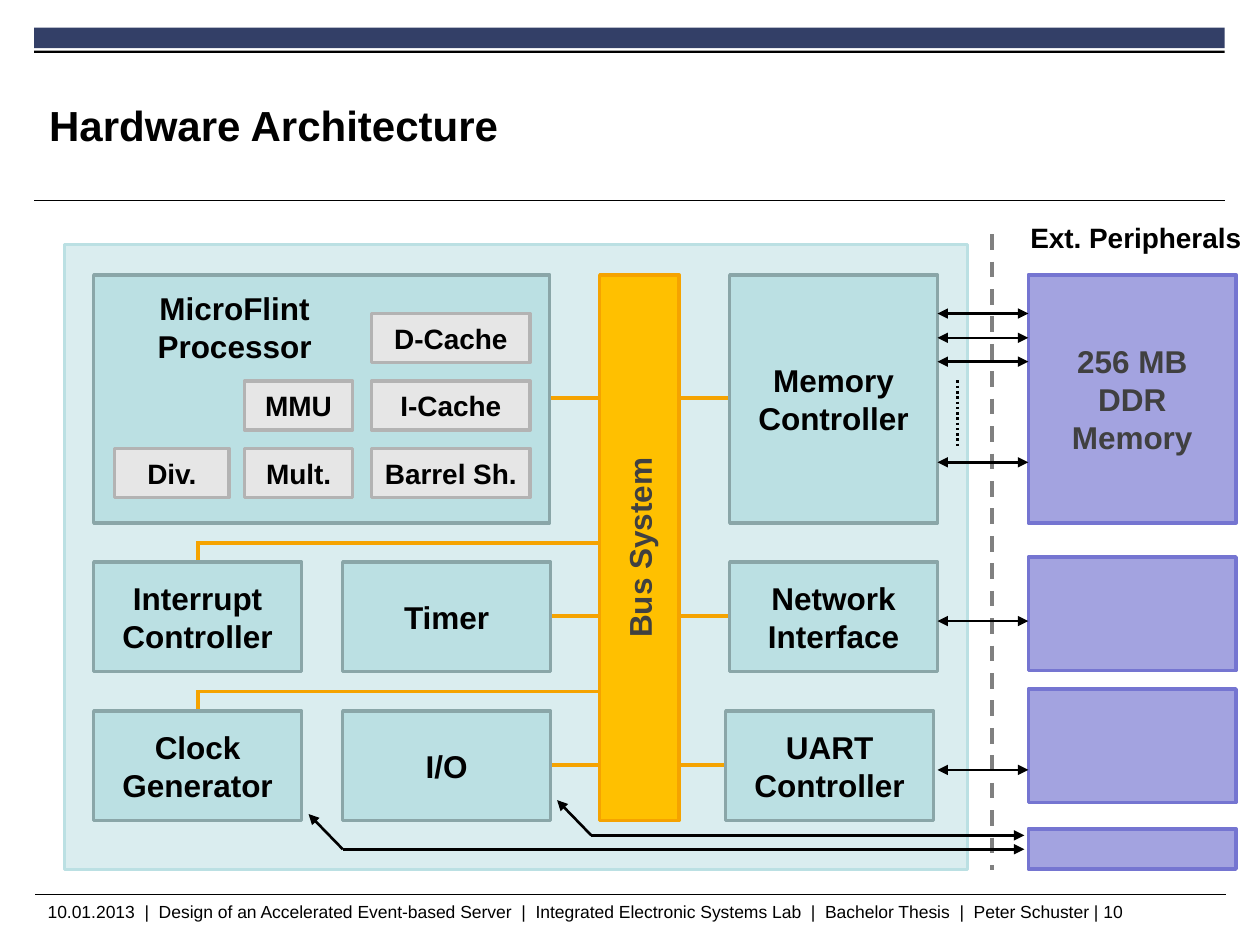
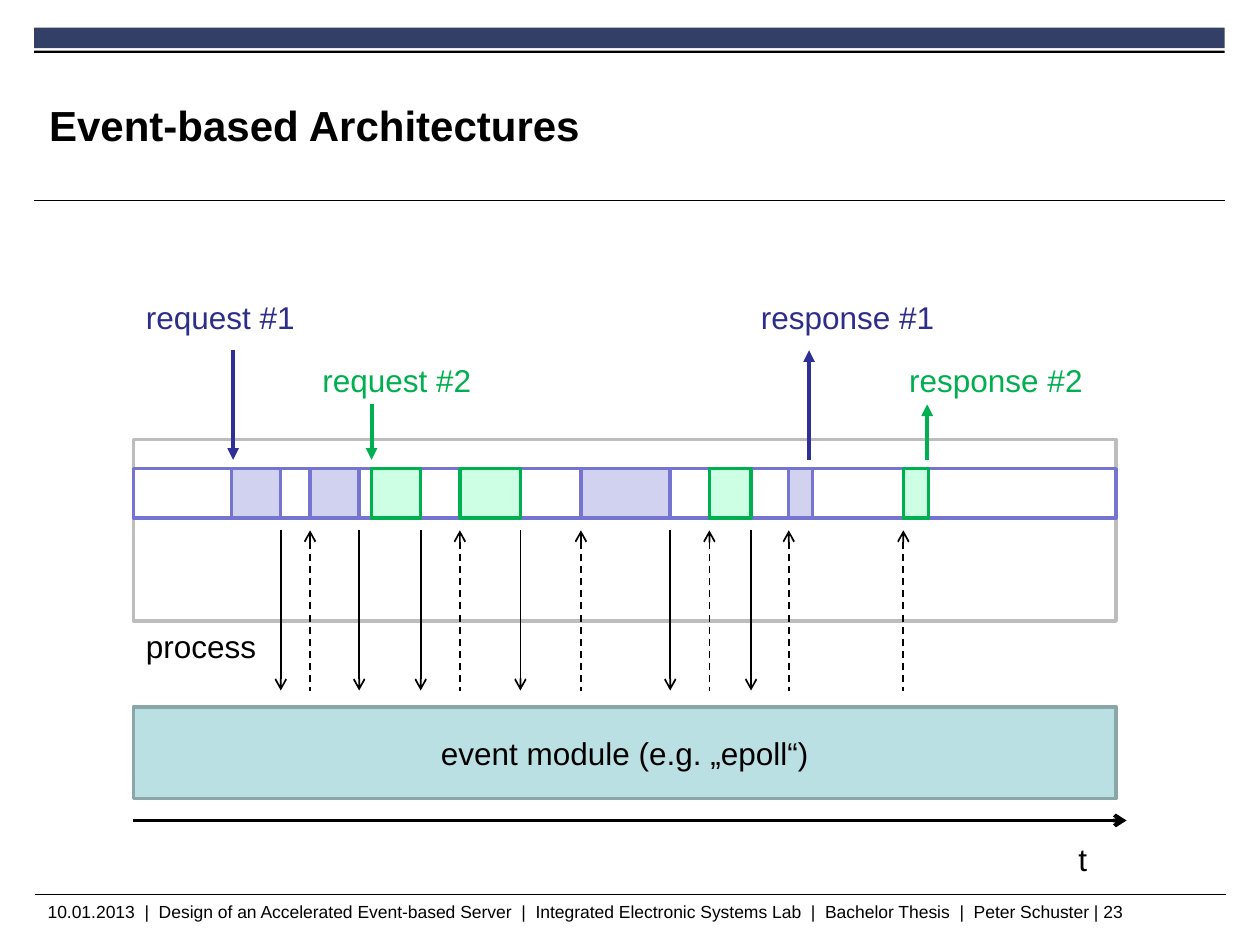
import lxml.etree
import pptx
import pptx.dml.color
import pptx.enum.dml
import pptx.enum.shapes
import pptx.enum.text
import pptx.oxml.ns
import pptx.util

Cm = pptx.util.Cm
RGBColor = pptx.dml.color.RGBColor
ALIGN = pptx.enum.text.PP_ALIGN
ANCHOR = pptx.enum.text.MSO_ANCHOR
DASH = pptx.enum.dml.MSO_LINE

FONT = "Arial"
FOOTER = ("10.01.2013  |  Design of an Accelerated Event-based Server  |  "
          "Integrated Electronic Systems Lab  |  Bachelor Thesis  |  Peter Schuster | {}")

BLACK = RGBColor(0x00, 0x00, 0x00)
WHITE = RGBColor(0xFF, 0xFF, 0xFF)
DARK_GREY = RGBColor(0x40, 0x40, 0x40)
GREY = RGBColor(0x80, 0x80, 0x80)
NAVY = RGBColor(0x33, 0x3F, 0x67)
PALE_TEAL = RGBColor(0xDA, 0xED, 0xEF)
TEAL = RGBColor(0xBB, 0xE0, 0xE3)
TEAL_EDGE = RGBColor(0x8A, 0xA6, 0xA8)
AMBER = RGBColor(0xFF, 0xC0, 0x00)
ORANGE = RGBColor(0xF5, 0xA3, 0x00)
VIOLET = RGBColor(0xA3, 0xA3, 0xE0)
VIOLET_EDGE = RGBColor(0x75, 0x75, 0xD1)
PALE_VIOLET = RGBColor(0xD1, 0xD1, 0xF0)
LIGHT_GREY = RGBColor(0xE6, 0xE6, 0xE6)
UNIT_EDGE = RGBColor(0xB3, 0xB3, 0xB3)
PROCESS_EDGE = RGBColor(0xBD, 0xBD, 0xBD)
INDIGO = RGBColor(0x2F, 0x2F, 0x98)
INDIGO_TEXT = RGBColor(0x2D, 0x2D, 0x8A)
GREEN = RGBColor(0x00, 0xB0, 0x50)
PALE_GREEN = RGBColor(0xCD, 0xFF, 0xE4)


def write_text(frame, text, size=18, color=BLACK, bold=False, align=ALIGN.CENTER,
               anchor=ANCHOR.MIDDLE, margins=(0.25, 0.13, 0.25, 0.13), wrap=True):
    frame.word_wrap = wrap
    frame.auto_size = pptx.enum.text.MSO_AUTO_SIZE.NONE
    frame.vertical_anchor = anchor
    (frame.margin_left, frame.margin_top,
     frame.margin_right, frame.margin_bottom) = map(Cm, margins)
    frame.text = text
    for paragraph in frame.paragraphs:
        paragraph.alignment = align
        for run in paragraph.runs:
            run.font.name = FONT
            run.font.size = pptx.util.Pt(size)
            run.font.bold = bold
            run.font.color.rgb = color


class Deck:
    def __init__(self):
        self.presentation = pptx.Presentation()
        self.presentation.slide_width = Cm(25.4)
        self.presentation.slide_height = Cm(19.05)
        self.slide = None

    def add_slide(self, title, number):
        layout = self.presentation.slide_layouts[5]
        self.slide = self.presentation.slides.add_slide(layout)
        self.box(0.69, 0.56, 24, 0.41, NAVY)
        self.box(0.69, 1.02, 24, 0.05, BLACK)
        self.line(0.69, 4.04, 24.69, 4.04, width=0.6)
        self.line(0.71, 18.03, 24.71, 18.03, width=0.6)
        self.label(0.71, 18.03, 24, 0.64, FOOTER.format(number), size=10)
        shape = self.slide.shapes.title
        shape.left, shape.top, shape.width, shape.height = map(Cm, (0.99, 1.35, 19.1, 2.34))
        write_text(shape.text_frame, title, size=24, bold=True,
                   align=ALIGN.LEFT, margins=(0, 0, 0, 0))

    def box(self, left, top, width, height, fill=None, edge=None, text=None, **text_format):
        shape = self.slide.shapes.add_shape(
            pptx.enum.shapes.MSO_SHAPE.RECTANGLE, Cm(left), Cm(top), Cm(width), Cm(height))
        shape.shadow.inherit = False
        if fill is None:
            shape.fill.background()
        else:
            shape.fill.solid()
            shape.fill.fore_color.rgb = fill
        if edge is None:
            shape.line.fill.background()
        else:
            shape.line.color.rgb = edge
            shape.line.width = pptx.util.Pt(2)
        if text:
            write_text(shape.text_frame, text, **text_format)
        return shape

    def label(self, left, top, width, height, text, **text_format):
        shape = self.slide.shapes.add_textbox(Cm(left), Cm(top), Cm(width), Cm(height))
        write_text(shape.text_frame, text, align=ALIGN.LEFT, anchor=ANCHOR.TOP, **text_format)

    def line(self, x1, y1, x2, y2, color=BLACK, width=1.5, dash=None, head=None, tail=None):
        connector = self.slide.shapes.add_connector(
            pptx.enum.shapes.MSO_CONNECTOR.STRAIGHT, Cm(x1), Cm(y1), Cm(x2), Cm(y2))
        connector.line.color.rgb = color
        connector.line.width = pptx.util.Pt(width)
        if dash is not None:
            connector.line.dash_style = dash
        qn = pptx.oxml.ns.qn
        properties = connector._element.spPr
        outline = properties.find(qn("a:ln"))
        for tag, kind in (("a:headEnd", head), ("a:tailEnd", tail)):
            if kind:
                lxml.etree.SubElement(outline, qn(tag)).set("type", kind)
        lxml.etree.SubElement(properties, qn("a:effectLst"))


def add_hardware_slide(deck):
    deck.add_slide("Hardware Architecture", 10)
    left, middle, right, peripheral = 1.89, 6.91, 14.71, 20.73
    top, tall = 5.54, 5
    rows = (11.33, 14.33)
    block_width, block_height = 4.19, 2.21
    bus_left, bus_width = 12.09, 1.6

    deck.box(1.3, 4.93, 18.21, 12.6, PALE_TEAL, TEAL)
    for row in rows:
        branch = row - 0.39
        deck.line(3.99, branch - 0.03, 3.99, row, ORANGE, 2.25)
        deck.line(3.99, branch, bus_left + bus_width, branch, ORANGE, 2.25)
    for y in (8.03, *(row + 1.09 for row in rows)):
        deck.line(11.1, y, right, y, ORANGE, 2.25)

    blocks = (
        (right, top, tall, "Memory Controller"),
        (right, rows[0], block_height, "Network Interface"),
        (14.63, rows[1], block_height, "UART Controller"),
        (left, rows[0], block_height, "Interrupt\nController"),
        (left, rows[1], block_height, "Clock\nGenerator"),
        (middle, rows[0], block_height, "Timer"),
        (middle, rows[1], block_height, "I/O"),
    )
    for x, y, height, text in blocks:
        deck.box(x, y, block_width, height, TEAL, TEAL_EDGE, text, bold=True)

    deck.line(19.99, 4.72, 19.99, 17.53, GREY, 2.25, DASH.DASH)
    peripherals = ((top, tall, "256 MB DDR Memory"), (11.23, 2.29, None),
                   (13.89, 2.29, None), (16.71, 0.81, None))
    for y, height, text in peripherals:
        deck.box(peripheral, y, block_width, height, VIOLET, VIOLET_EDGE, text,
                 color=DARK_GREY, bold=True)
    bus = deck.box(bus_left, top, bus_width, 11, AMBER, ORANGE, "Bus System",
                   color=DARK_GREY, bold=True)
    bus.text_frame._txBody.bodyPr.set("vert", "vert270")

    for y in (6.32, 6.81, 7.29, 9.32, 12.52, 15.52):
        deck.line(18.9, y, peripheral, y, head="triangle", tail="triangle")
    for x, y in ((6.22, 16.41), (11.23, 16.13)):
        corner_x, corner_y = x + 0.69, y + 0.71
        deck.line(x, y, corner_x, corner_y, head="triangle")
        deck.line(corner_x, corner_y, 20.65, corner_y, tail="triangle")
    deck.line(19.3, 7.67, 19.3, 9.02, dash=DASH.ROUND_DOT)
    deck.label(20.52, 4.32, 4.87, 0.94, "Ext. Peripherals", size=16, bold=True, wrap=False)

    deck.box(left, top, 9.19, tall, TEAL, TEAL_EDGE, "MicroFlint\nProcessor", bold=True,
             anchor=ANCHOR.TOP, margins=(0, 0.29, 3.51, 0.13))
    unit_columns = (
        (7.49, 3.2, ("D-Cache", "I-Cache", "Barrel Sh.")),
        (4.93, 2.18, (None, "MMU", "Mult.")),
        (2.31, 2.31, (None, None, "Div.")),
    )
    for x, width, units in unit_columns:
        for index, unit in enumerate(units):
            if unit:
                deck.box(x, 6.32 + 1.36 * index, width, 0.99, LIGHT_GREY, UNIT_EDGE, unit,
                         size=16, bold=True, margins=(0.1, 0.1, 0.1, 0.1))


def add_event_slide(deck):
    deck.add_slide("Event-based Architectures", 23)
    left, width = 2.69, 19.81
    strip_top, strip_height = 9.45, 0.99

    deck.line(left, 16.54, 22.71, 16.54, width=2.25, tail="arrow")
    deck.label(21.49, 16.81, 1.19, 1.02, "t")
    deck.box(left, 8.86, width, 3.66, WHITE, PROCESS_EDGE)
    deck.label(left, 12.52, 5.21, 1.02, "process")
    deck.box(left, strip_top, width, strip_height, edge=VIOLET_EDGE)
    deck.box(left, 14.25, width, 1.85, TEAL, TEAL_EDGE, "event module (e.g. „epoll“)")

    messages = (
        ("request #1", left, 5.87, 3.53, INDIGO_TEXT, INDIGO, 4.7, 7.06, {"tail": "triangle"}),
        ("request #2", 6.25, 7.14, 3.53, GREEN, GREEN, 7.49, 8.15, {"tail": "triangle"}),
        ("response #1", 15.09, 5.87, 4.04, INDIGO_TEXT, INDIGO, 16.31, 7.06, {"head": "triangle"}),
        ("response #2", 18.08, 7.14, 4.04, GREEN, GREEN, 18.69, 8.15, {"head": "triangle"}),
    )
    for text, x, y, label_width, color, arrow_color, arrow_x, arrow_top, ends in messages:
        deck.label(x, y, label_width, 1.02, text, color=color, wrap=False)
        deck.line(arrow_x, arrow_top, arrow_x, 9.27, arrow_color, 2.25, **ends)

    requests = (
        (PALE_VIOLET, VIOLET_EDGE, ((4.67, 0.99), (6.25, 0.99), (11.71, 1.8), (15.9, 0.48))),
        (PALE_GREEN, GREEN, ((7.49, 0.99), (9.27, 1.22), (14.3, 0.84), (18.21, 0.51))),
    )
    for fill, edge, segments in requests:
        for x, segment_width in segments:
            deck.box(x, strip_top, segment_width, strip_height, fill, edge)
        for x, segment_width in segments[:-1]:
            end = x + segment_width
            deck.line(end, 10.69, end, 13.92, width=1, tail="arrow")
        for x, segment_width in segments[1:]:
            deck.line(x, 10.69, x, 13.92, width=1, dash=DASH.DASH, head="arrow")


def main():
    deck = Deck()
    add_hardware_slide(deck)
    add_event_slide(deck)
    deck.presentation.save("out.pptx")


if __name__ == "__main__":
    main()
